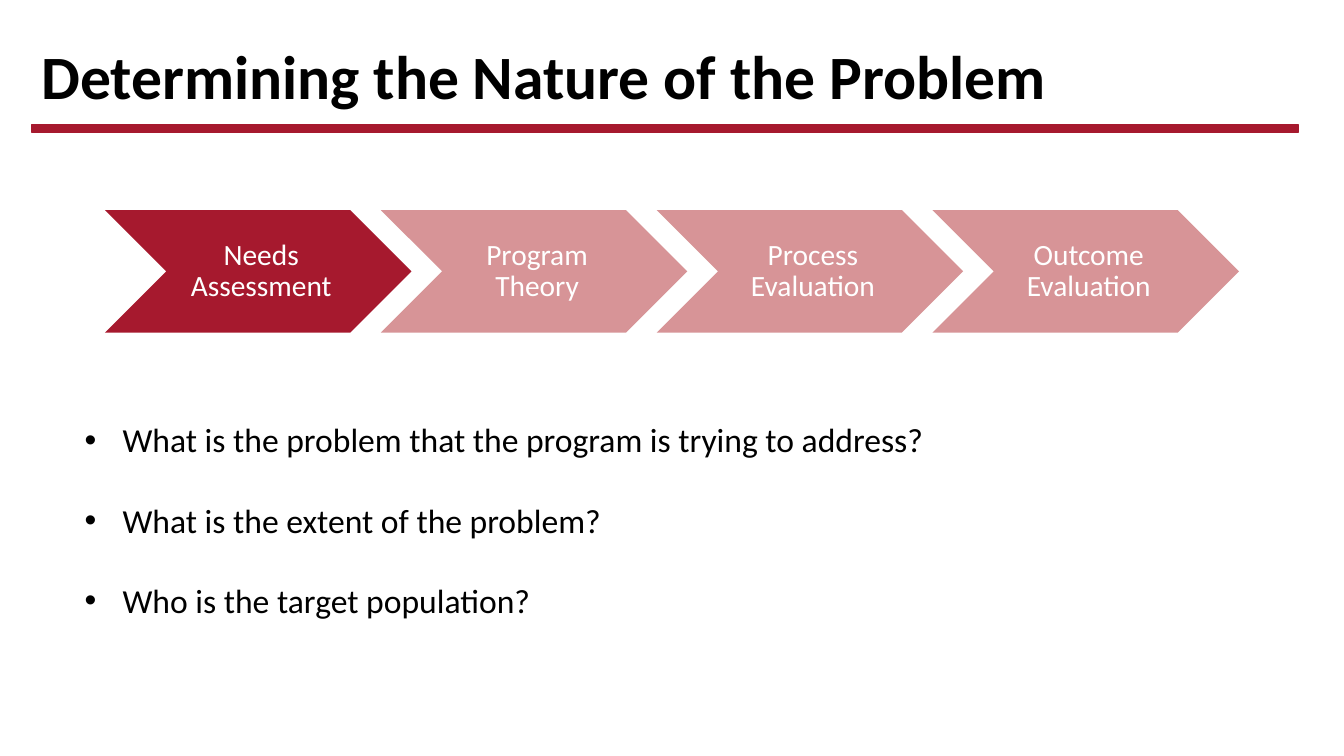
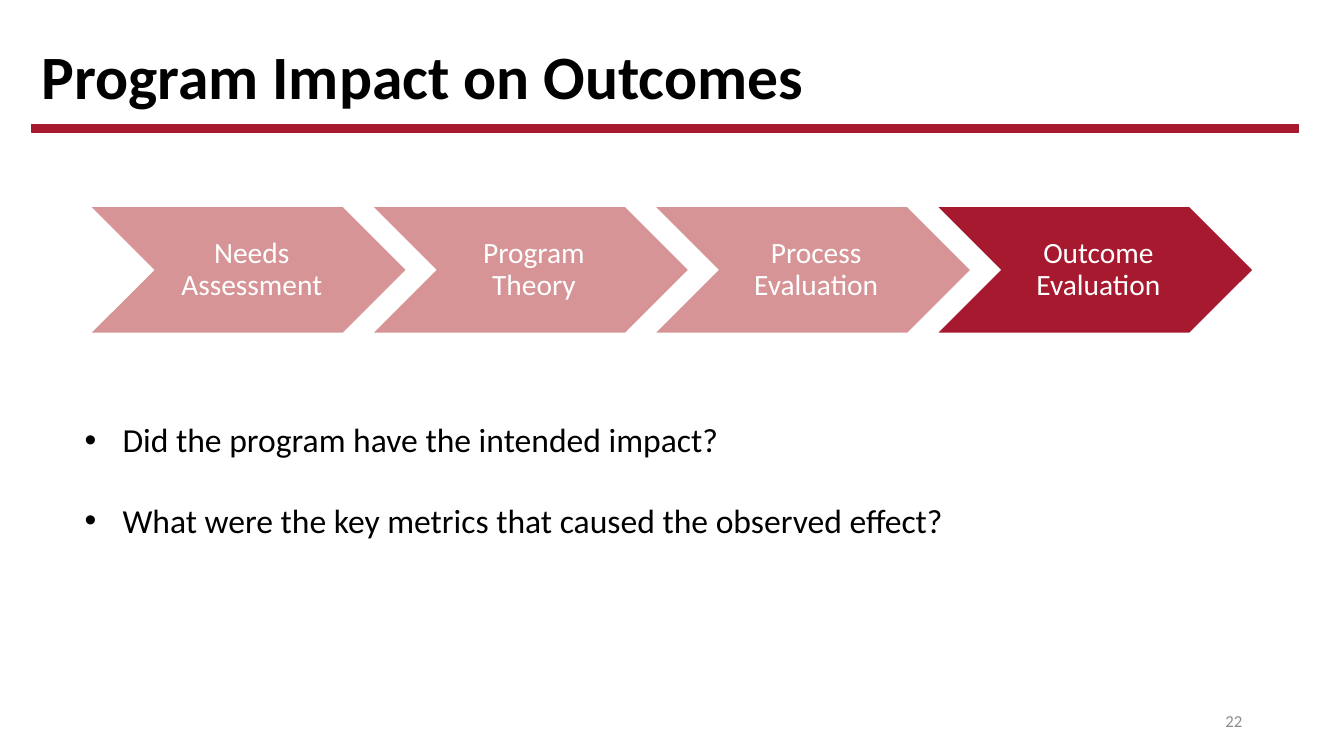
"""Build two slides that each place one stage in a program evaluation process."""
from dataclasses import dataclass
from typing import Any

import pptx
import pptx.dml.color
import pptx.enum.shapes
import pptx.enum.text
import pptx.util

Inches = pptx.util.Inches
Pt = pptx.util.Pt
ALIGN = pptx.enum.text.PP_ALIGN
ANCHOR = pptx.enum.text.MSO_ANCHOR
SHAPE = pptx.enum.shapes.MSO_SHAPE

SLIDE_WIDTH, SLIDE_HEIGHT = 13.33, 7.5
CRIMSON, PINK, BLACK, WHITE, GREY = "A6192E", "D79497", "000000", "FFFFFF", "8C8C8C"
STAGES = ("Needs Assessment", "Program Theory", "Process Evaluation", "Outcome Evaluation")
CHEVRON_PITCH, CHEVRON_RATIO, CHEVRON_BOTTOM = 0.9, 0.4, 3.3


@dataclass(frozen=True)
class TextStyle:
    size: float
    color: str
    paragraph: dict[str, Any]
    frame: dict[str, Any]
    bold: bool = False


@dataclass(frozen=True)
class StageSlide:
    title: str
    active_stage: int
    chevron_width: float
    questions: tuple[str, ...]
    number: str = ""


TITLE_STYLE = TextStyle(
    44, BLACK,
    {"alignment": ALIGN.LEFT, "line_spacing": 0.9},
    {"vertical_anchor": ANCHOR.MIDDLE, "word_wrap": True},
    bold=True,
)
STAGE_STYLE = TextStyle(
    21, WHITE,
    {"alignment": ALIGN.CENTER, "line_spacing": 0.9},
    {
        "vertical_anchor": ANCHOR.MIDDLE, "word_wrap": True,
        "margin_left": Inches(0.09), "margin_right": Inches(0.03),
        "margin_top": Inches(0.03), "margin_bottom": Inches(0.03),
    },
)
QUESTION_STYLE = TextStyle(
    24, BLACK,
    {"alignment": ALIGN.LEFT, "space_before": Pt(0), "space_after": Pt(28.5)},
    {
        "vertical_anchor": ANCHOR.TOP, "word_wrap": True,
        "auto_size": pptx.enum.text.MSO_AUTO_SIZE.NONE,
    },
)
NUMBER_STYLE = TextStyle(
    12, GREY,
    {"alignment": ALIGN.RIGHT},
    {"vertical_anchor": ANCHOR.MIDDLE, "word_wrap": True},
)

SLIDES = (
    StageSlide(
        "Determining the Nature of the Problem", 0, 3.04,
        (
            "What is the problem that the program is trying to address?",
            "What is the extent of the problem?",
            "Who is the target population?",
        ),
    ),
    StageSlide(
        "Program Impact on Outcomes", 3, 3.11,
        (
            "Did the program have the intended impact?",
            "What were the key metrics that caused the observed effect?",
        ),
        number="22",
    ),
)


def rgb(color: str) -> pptx.dml.color.RGBColor:
    """Turn a hex string into a colour."""
    return pptx.dml.color.RGBColor.from_string(color)


def set_values(target: Any, values: dict[str, Any]) -> None:
    """Set each named attribute on the target."""
    for attribute, value in values.items():
        setattr(target, attribute, value)


def place(shape: Any, left: float, top: float, width: float, height: float) -> None:
    """Move and size a shape, in inches."""
    set_values(shape, {
        "left": Inches(left), "top": Inches(top),
        "width": Inches(width), "height": Inches(height),
    })


def write(shape: Any, lines: tuple[str, ...], style: TextStyle) -> None:
    """Fill a shape with one paragraph per line in the given style."""
    frame = shape.text_frame
    frame.text = "\n".join(lines)
    set_values(frame, style.frame)
    for paragraph in frame.paragraphs:
        set_values(paragraph, style.paragraph)
        for run in paragraph.runs:
            set_values(run.font, {"name": "Calibri", "size": Pt(style.size), "bold": style.bold})
            run.font.color.rgb = rgb(style.color)


def add_filled(slide: Any, kind: Any, box: tuple[float, ...], color: str) -> Any:
    """Add a flat preset shape without an outline."""
    shape = slide.shapes.add_shape(kind, *map(Inches, box))
    shape.shadow.inherit = False
    shape.fill.solid()
    shape.fill.fore_color.rgb = rgb(color)
    shape.line.fill.background()
    return shape


def add_title_band(slide: Any, title: str) -> None:
    """Write the title and draw the band below it."""
    place(slide.shapes.title, 0.31, 0.33, 11.5, 0.91)
    write(slide.shapes.title, (title,), TITLE_STYLE)
    band = add_filled(slide, SHAPE.RECTANGLE, (0.31, 1.24, 12.57, 0.07), CRIMSON)
    band.line.color.rgb = rgb(CRIMSON)
    band.line.width = Pt(1)


def add_process(slide: Any, active_stage: int, width: float) -> None:
    """Draw the centred row of stages with the active one highlighted."""
    pitch = CHEVRON_PITCH * width
    height = CHEVRON_RATIO * width
    first_left = (SLIDE_WIDTH - pitch * (len(STAGES) - 1) - width) / 2
    for index, stage in enumerate(STAGES):
        box = (first_left + index * pitch, CHEVRON_BOTTOM - height, width, height)
        color = CRIMSON if index == active_stage else PINK
        chevron = add_filled(slide, SHAPE.CHEVRON, box, color)
        write(chevron, (stage,), STAGE_STYLE)


def add_stage_slide(deck: Any, content: StageSlide) -> None:
    """Add one slide with its title, process, questions and number."""
    slide = deck.slides.add_slide(deck.slide_layouts[1])
    add_title_band(slide, content.title)
    add_process(slide, content.active_stage, content.chevron_width)
    questions = slide.placeholders[1]
    place(questions, 0.74, 4.11, 10.21, 2.52)
    write(questions, content.questions, QUESTION_STYLE)
    if content.number:
        number = slide.shapes.add_textbox(*map(Inches, (9.42, 6.95, 3, 0.4)))
        write(number, (content.number,), NUMBER_STYLE)


def main() -> None:
    """Build and save the presentation."""
    deck = pptx.Presentation()
    set_values(deck, {"slide_width": Inches(SLIDE_WIDTH), "slide_height": Inches(SLIDE_HEIGHT)})
    for content in SLIDES:
        add_stage_slide(deck, content)
    deck.save("out.pptx")


if __name__ == "__main__":
    main()
